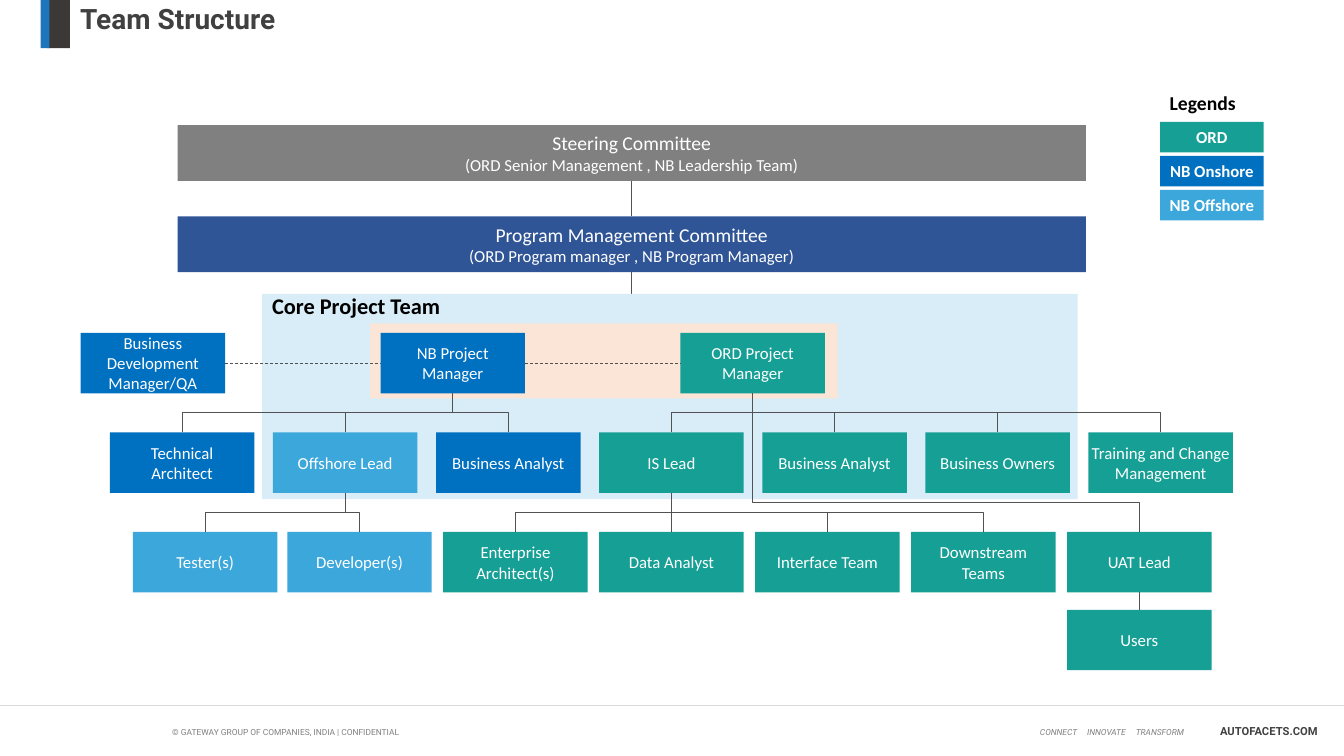
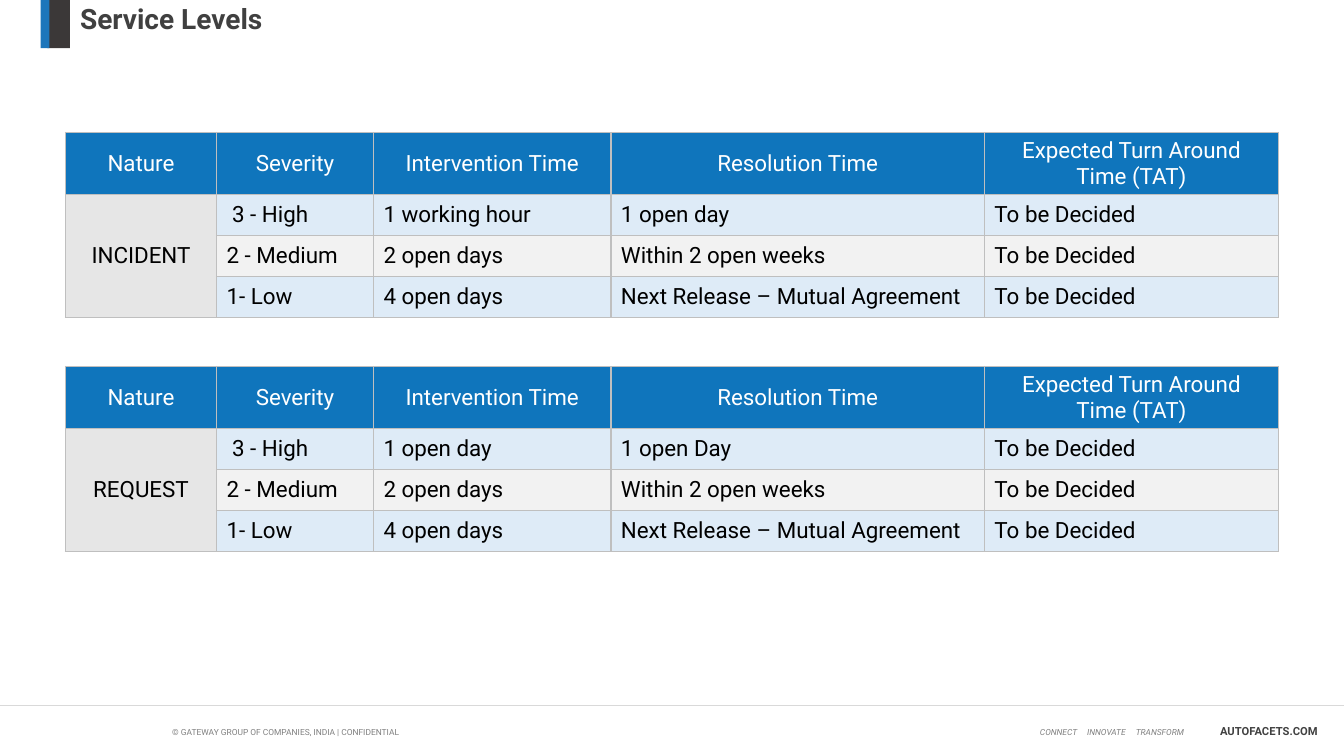
from lxml import etree
from pptx import Presentation
from pptx import util as u
from pptx.dml.color import RGBColor
from pptx.enum import dml, shapes, text
from pptx.oxml import ns

Pt = u.Pt

# Colours
WHITE = RGBColor(0xFF, 0xFF, 0xFF)
BLACK = RGBColor(0, 0, 0)
TITLE_GREY = RGBColor(0x40, 0x40, 0x40)
SITE_GREY = RGBColor(0x41, 0x41, 0x41)
MID_GREY = RGBColor(0x80, 0x80, 0x80)
RULE_GREY = RGBColor(0xD9, 0xD9, 0xD9)
BAND_DARK = RGBColor(0x3B, 0x38, 0x38)
BAND_BLUE = RGBColor(0x1D, 0x76, 0xBB)
LINK_GREY = RGBColor(0x52, 0x52, 0x52)
NAVY = RGBColor(0x2F, 0x55, 0x97)
TEAL = RGBColor(0x16, 0x9F, 0x95)
ONSHORE = RGBColor(0x00, 0x70, 0xC0)
OFFSHORE = RGBColor(0x3C, 0xA7, 0xDB)
CORE_BLUE = RGBColor(0xD8, 0xED, 0xF8)
PEACH = RGBColor(0xFB, 0xE5, 0xD6)
HEAD_BLUE = RGBColor(0x0F, 0x75, 0xBC)
ROW_BLUE = RGBColor(0xDE, 0xEB, 0xF7)
ROW_GREY = RGBColor(0xF2, 0xF2, 0xF2)
NATURE_GREY = RGBColor(0xE6, 0xE6, 0xE6)
BORDER = "BFBFBF"

# Sizes in points
SLIDE_W, SLIDE_H = 960, 540
BOX_W, BOX_H = 103.2, 43.2
CHART_TOP, ROW_STEP = 237.8, 71.1
TOP, LEFT, BOTTOM, RIGHT = 0, 1, 2, 3

LEFT_ALIGN, CENTER = text.PP_ALIGN.LEFT, text.PP_ALIGN.CENTER
COLUMN_WIDTHS = (107.9, 112.1, 169.6, 266.8, 210)
HEADINGS = ("Nature", "Severity", "Intervention Time", "Resolution Time",
            "Expected Turn Around Time (TAT)")
SEVERITIES = (" 3 - High", "2 - Medium", "1- Low")


def apply(target, **formats):
    for name, value in formats.items():
        setattr(target, name, value)


def write(frame, lines, face, color, align=LEFT_ALIGN, **formats):
    """Fill a text frame; lines holds (text, size) pairs."""
    for i, (words, size) in enumerate(lines):
        para = frame.add_paragraph() if i else frame.paragraphs[0]
        para.alignment = align
        run = para.add_run()
        run.text = words
        apply(run.font, size=Pt(size), name=face, **formats)
        run.font.color.rgb = color


def panel(slide, x, y, w, h, fill):
    rect = slide.shapes.add_shape(shapes.MSO_SHAPE.RECTANGLE,
                                  Pt(x), Pt(y), Pt(w), Pt(h))
    rect.shadow.inherit = False
    rect.fill.solid()
    rect.fill.fore_color.rgb = fill
    rect.line.fill.background()
    return rect


def box(slide, x, y, lines, fill, w=BOX_W, h=BOX_H, bold=False, wrap=True, **margins):
    rect = panel(slide, x, y, w, h, fill)
    apply(rect.text_frame, word_wrap=wrap,
          vertical_anchor=text.MSO_ANCHOR.MIDDLE, **margins)
    write(rect.text_frame, lines, "Calibri", WHITE, CENTER, bold=bold)
    return rect


def label(slide, x, y, w, h, words, size, face, color, wrap=True, **formats):
    area = slide.shapes.add_textbox(Pt(x), Pt(y), Pt(w), Pt(h))
    area.text_frame.word_wrap = wrap
    write(area.text_frame, [(words, size)], face, color, **formats)
    return area


def style_line(line, color, dash=None):
    line.line.width = Pt(0.5)
    line.line.color.rgb = color
    if dash:
        line.line.dash_style = dash
    etree.SubElement(line.element.spPr, ns.qn("a:effectLst"))


def straight(slide, x1, y1, x2, y2, color=LINK_GREY):
    line = slide.shapes.add_connector(shapes.MSO_CONNECTOR.STRAIGHT,
                                      Pt(x1), Pt(y1), Pt(x2), Pt(y2))
    style_line(line, color)
    return line


def join(slide, start, end, sides=(BOTTOM, TOP), kind=shapes.MSO_CONNECTOR.STRAIGHT,
         dash=None):
    line = slide.shapes.add_connector(kind, 0, 0, 0, 0)
    line.begin_connect(start, sides[0])
    line.end_connect(end, sides[1])
    style_line(line, LINK_GREY, dash)
    return line


def branch(slide, parent, child, bend=None):
    """Elbow going down from parent, across, and down to child."""
    x1, x2 = (part.left + part.width // 2 for part in (parent, child))
    if x1 == x2:
        return join(slide, parent, child)
    y1, y2 = parent.top + parent.height, child.top
    line = join(slide, parent, child, kind=shapes.MSO_CONNECTOR.ELBOW)
    drop, span = y2 - y1, abs(x2 - x1)
    # The elbow runs sideways by default, so its frame is turned a quarter
    apply(line, left=(x1 + x2 - drop) // 2, top=(y1 + y2 - span) // 2,
          width=drop, height=span, rotation=270 if x2 > x1 else 90)
    apply(line.element.spPr.xfrm, flipH=x2 > x1, flipV=False)
    if bend:
        geometry = line.element.spPr.find(ns.qn("a:prstGeom"))
        guides = geometry.find(ns.qn("a:avLst"))
        if guides is None:
            guides = etree.SubElement(geometry, ns.qn("a:avLst"))
        etree.SubElement(guides, ns.qn("a:gd"), name="adj1",
                         fmla=f"val {round(bend * 100000)}")
    return line


def add_tabs(para, stops):
    tabs = etree.SubElement(para._p.get_or_add_pPr(), ns.qn("a:tabLst"))
    for stop in stops:
        etree.SubElement(tabs, ns.qn("a:tab"), pos=str(Pt(stop)), algn="l")


def set_up_layout(layout, slide):
    """Draw the bands and footer once and move them to the layout."""
    apply(layout.placeholders[0], left=Pt(50), top=0, width=Pt(910), height=Pt(34.4))
    motto = label(slide, 735.8, 515.6, 139.7, 14.4, "CONNECT\tINNOVATE\tTRANSFORM",
                  6, "Roboto", MID_GREY, italic=True)
    add_tabs(motto.text_frame.paragraphs[0], (33.7, 68.5))
    shared = (
        label(slide, 115.9, 515.6, 265.7, 14.4,
              "© GATEWAY GROUP OF COMPANIES, INDIA | CONFIDENTIAL",
              6, "Roboto", MID_GREY),
        motto,
        straight(slide, 0, 503.6, SLIDE_W, 503.6, RULE_GREY),
        label(slide, 864.4, 514, 88, 17, "AUTOFACETS.COM", 8, "Roboto", SITE_GREY,
              wrap=False, bold=True),
        panel(slide, 33.8, 0, 16.2, 34.4, BAND_DARK),
        panel(slide, 29, 0, 6.4, 34.4, BAND_BLUE),
    )
    for part in shared:
        layout.shapes.element.append(part.element)


def set_title(slide, words):
    frame = slide.shapes.title.text_frame
    apply(frame, vertical_anchor=text.MSO_ANCHOR.TOP, word_wrap=True,
          auto_size=text.MSO_AUTO_SIZE.NONE)
    write(frame, [(words, 20)], "Roboto", TITLE_GREY, bold=True)
    frame.paragraphs[0].line_spacing = 0.9


def box_row(slide, level, lefts, members):
    top = CHART_TOP + level * ROW_STEP
    return [box(slide, x, top, [(name, 12)], fill)
            for x, (name, fill) in zip(lefts, members)]


def draw_committees(slide):
    steering, program = (
        box(slide, 126.9, y, [(name, 14), (members, 12)], fill, w=648.7, h=39.9)
        for y, name, members, fill in (
            (89.4, "Steering Committee",
             "(ORD Senior Management , NB Leadership Team)", MID_GREY),
            (154.6, "Program Management Committee",
             "(ORD Program manager , NB Program Manager)", NAVY)))
    join(slide, steering, program)
    straight(slide, 451.25, 194.5, 451.25, 210).begin_connect(program, BOTTOM)


def draw_team(slide):
    # Core team area
    panel(slide, 187.3, 210, 582.4, 146.6, CORE_BLUE)
    panel(slide, 264.4, 230.9, 334, 53.6, PEACH)
    label(slide, 187.3, 205.2, 136, 26.6, "Core Project Team", 16, "Calibri", BLACK,
          wrap=False, bold=True)

    # Managers
    business = box(slide, 57.6, CHART_TOP, [("Business Development Manager/QA", 12)],
                   ONSHORE, margin_left=0, margin_right=0, margin_top=0,
                   margin_bottom=0)
    client = box(slide, 486, CHART_TOP, [("ORD Project Manager", 12)], TEAL)
    join(slide, business, client, (RIGHT, LEFT), dash=dml.MSO_LINE.DASH)
    vendor = box(slide, 271.8, CHART_TOP, [("NB Project Manager", 12)], ONSHORE)

    # Leads and their teams
    leads = box_row(slide, 1, [78.5 + 116.5 * i for i in range(7)], (
        ("Technical Architect", ONSHORE), ("Offshore Lead", OFFSHORE),
        ("Business Analyst", ONSHORE), ("IS Lead", TEAL), ("Business Analyst", TEAL),
        ("Business Owners", TEAL), ("Training and Change Management", TEAL)))
    apply(leads[-1].text_frame, margin_left=0, margin_right=0)
    teams = box_row(slide, 2, [95] + [205.2 + 111.4 * i for i in range(6)], (
        ("Tester(s)", OFFSHORE), ("Developer(s)", OFFSHORE),
        ("Enterprise Architect(s)", TEAL), ("Data Analyst", TEAL),
        ("Interface Team", TEAL), ("Downstream Teams", TEAL), ("UAT Lead", TEAL)))
    uat_lead = teams[-1]
    users = box(slide, 762.2, 435.6, [("Users", 12)], TEAL)

    # Reporting lines
    for parent, children in ((vendor, leads[:3]), (client, leads[3:]),
                             (leads[1], teams[:2]), (leads[3], teams[2:6]),
                             (uat_lead, [users])):
        for child in children:
            branch(slide, parent, child)
    branch(slide, client, uat_lead, bend=0.783)


def draw_legend(slide):
    label(slide, 828.4, 61.2, 66.2, 24.5, "Legends", 14, "Calibri", BLACK, bold=True)
    for i, (name, fill) in enumerate((("ORD", TEAL), ("NB Onshore", ONSHORE),
                                      ("NB Offshore", OFFSHORE))):
        box(slide, 828.6, 87 + 24.3 * i, [(name, 12)], fill, w=74, h=21.8,
            bold=True, wrap=False)


def add_borders(cell):
    properties = cell._tc.get_or_add_tcPr()
    for i, side in enumerate(("lnL", "lnR", "lnT", "lnB")):
        edge = etree.Element(ns.qn(f"a:{side}"), w=str(Pt(1)))
        fill = etree.SubElement(edge, ns.qn("a:solidFill"))
        etree.SubElement(fill, ns.qn("a:srgbClr"), val=BORDER)
        properties.insert(i, edge)


def level_table(slide, top, nature, times):
    rows = [HEADINGS] + [
        (nature if i == 0 else "", severity, *pair, "To be Decided")
        for i, (severity, pair) in enumerate(zip(SEVERITIES, times))]
    heights = (44.2, 29.3, 29.3, 29.3)
    table = slide.shapes.add_table(
        len(rows), len(HEADINGS), Pt(46.8), Pt(top),
        Pt(sum(COLUMN_WIDTHS)), Pt(sum(heights))).table
    apply(table, first_row=False, horz_banding=False)
    for column, width in zip(table.columns, COLUMN_WIDTHS):
        column.width = Pt(width)
    for r, (row, values) in enumerate(zip(table.rows, rows)):
        row.height = Pt(heights[r])
        for c, value in enumerate(values):
            cell = table.cell(r, c)
            cell.vertical_anchor = text.MSO_ANCHOR.MIDDLE
            cell.fill.solid()
            cell.fill.fore_color.rgb = (
                HEAD_BLUE if r == 0 else NATURE_GREY if c == 0
                else ROW_BLUE if r % 2 else ROW_GREY)
            add_borders(cell)
            if value:
                write(cell.text_frame, [(value, 16)], "Roboto",
                      BLACK if r else WHITE,
                      LEFT_ALIGN if r and c else CENTER)
    table.cell(1, 0).merge(table.cell(3, 0))


def main():
    deck = Presentation()
    apply(deck, slide_width=Pt(SLIDE_W), slide_height=Pt(SLIDE_H))
    layout = deck.slide_layouts[5]
    team, levels = (deck.slides.add_slide(layout) for _ in range(2))
    set_up_layout(layout, team)

    # Team structure
    set_title(team, "Team Structure")
    draw_committees(team)
    draw_team(team)
    draw_legend(team)

    # Service levels
    set_title(levels, "Service Levels")
    slower = [("2 open days", "Within 2 open weeks"),
              ("4 open days", "Next Release – Mutual Agreement")]
    level_table(levels, 94.6, "INCIDENT", [("1 working hour", "1 open day")] + slower)
    level_table(levels, 261.8, "REQUEST", [("1 open day", "1 open Day")] + slower)

    deck.save("out.pptx")


if __name__ == "__main__":
    main()
